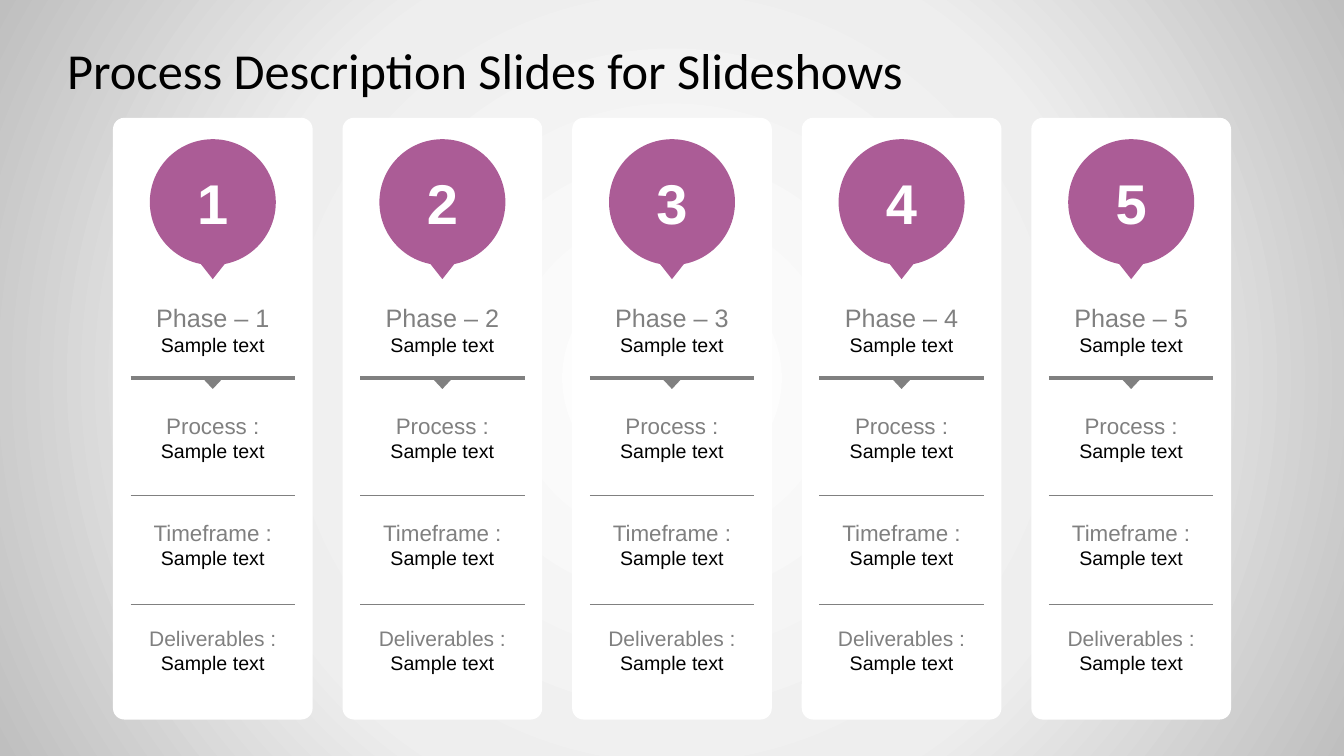
from pptx import Presentation
from pptx.dml.color import RGBColor
from pptx.enum.shapes import MSO_CONNECTOR, MSO_SHAPE
from pptx.enum.text import MSO_ANCHOR as Anchor, MSO_AUTO_SIZE as AutoSize, PP_ALIGN as Align
from pptx.oxml import parse_xml
from pptx.oxml.ns import nsdecls, qn
from pptx.util import Pt

TITLE = "Process Description Slides for Slideshows"
PHASES = [1, 2, 3, 4, 5]
SAMPLE = "Sample text"
# heading, heading size, top, height
SECTIONS = [
    ("Phase – {}", 18, 212.4, 46),
    ("Process :", 16, 290.9, 44),
    ("Timeframe :", 16, 367.2, 44),
    ("Deliverables :", 15, 443.5, 42.5),
]
RULES = [(432, 0.75), (354.2, 0.75), (270, 3)]  # y, line width
BACKDROP = [(0, "FFFFFF"), (57, "EEEEEE"), (100, "BFBFBF")]
PURPLE, GREY, WHITE, BLACK = "AB5C96", "808080", "FFFFFF", "000000"

PAGE_WIDTH, PAGE_HEIGHT = 960, 540
PITCH = 164
CARD_WIDTH, RULE_WIDTH, TEXT_WIDTH = 142.6, 117.4, 108


def color(hex_string):
    """Turn a hex string into a colour."""
    return RGBColor.from_string(hex_string)


def set_values(target, values):
    """Set every attribute named in a dict."""
    for name, value in values.items():
        setattr(target, name, value)


def add_text(para, text, size, ink, font="Arial", bold=False, align=Align.CENTER):
    """Write one formatted run into a paragraph."""
    para.alignment = align
    span = para.add_run()
    span.text = text
    set_values(span.font, {"name": font, "size": Pt(size), "bold": bold})
    span.font.color.rgb = color(ink)


def add_block(shapes, kind, center, top, width, height, fill, flip=False):
    """Add a flat filled shape centred on a column axis."""
    box = shapes.add_shape(kind, Pt(center - width / 2), Pt(top), Pt(width), Pt(height))
    box.shadow.inherit = False
    box.fill.solid()
    box.fill.fore_color.rgb = color(fill)
    box.line.fill.background()
    if flip:
        box.element.spPr.find(qn("a:xfrm")).set("flipV", "1")
    return box


def add_rule(shapes, center, y, weight):
    """Add a horizontal divider centred on a column axis."""
    half = RULE_WIDTH / 2
    rule = shapes.add_connector(MSO_CONNECTOR.STRAIGHT, Pt(center - half), Pt(y), Pt(center + half), Pt(y))
    rule.line.color.rgb = color(GREY)
    rule.line.width = Pt(weight)
    rule.element.spPr.append(parse_xml(f"<a:effectLst {nsdecls('a')}/>"))


def add_badge(shapes, center, number):
    """Add the grouped number circle with its pointer."""
    group = shapes.add_group_shape()
    circle = add_block(group.shapes, MSO_SHAPE.OVAL, center, 99.4, 90, 90, PURPLE)
    frame = circle.text_frame
    sides = ("left", "top", "right", "bottom")
    set_values(frame, {f"margin_{side}": Pt(14.4) for side in sides})
    frame.vertical_anchor = Anchor.MIDDLE
    add_text(frame.paragraphs[0], str(number), 40, WHITE, bold=True)
    add_block(group.shapes, MSO_SHAPE.ISOSCELES_TRIANGLE, center, 184.3, 23.8, 15.1, PURPLE, flip=True)


def add_section(shapes, center, heading, size, top, height):
    """Add a heading with its sample line."""
    box = shapes.add_textbox(Pt(center - TEXT_WIDTH / 2), Pt(top), Pt(TEXT_WIDTH), Pt(height))
    frame = box.text_frame
    set_values(frame, {"word_wrap": True, "auto_size": AutoSize.SHAPE_TO_FIT_TEXT})
    add_text(frame.paragraphs[0], heading, size, GREY)
    add_text(frame.add_paragraph(), SAMPLE, 14, BLACK)


def add_column(shapes, center, number):
    """Add one phase card with all its parts."""
    card = add_block(shapes, MSO_SHAPE.ROUNDED_RECTANGLE, center, 84.2, CARD_WIDTH, 429.8, WHITE)
    card.adjustments[0] = 0.057
    add_badge(shapes, center, number)
    for heading, size, top, height in SECTIONS:
        add_section(shapes, center, heading.format(number), size, top, height)
    for y, weight in RULES:
        add_rule(shapes, center, y, weight)
    add_block(shapes, MSO_SHAPE.ISOSCELES_TRIANGLE, center, 271.4, 12.2, 6.5, GREY, flip=True)


def set_backdrop(page):
    """Give the page a radial gradient background."""
    stops = "".join(
        f'<a:gs pos="{place * 1000}"><a:srgbClr val="{ink}"/></a:gs>' for place, ink in BACKDROP
    )
    page.element.cSld.insert(0, parse_xml(
        f'<p:bg {nsdecls("p", "a")}><p:bgPr><a:gradFill rotWithShape="1"><a:gsLst>{stops}</a:gsLst>'
        '<a:path path="circle"><a:fillToRect l="50000" t="50000" r="50000" b="50000"/></a:path>'
        "</a:gradFill><a:effectLst/></p:bgPr></p:bg>"
    ))


def set_title(page):
    """Place and fill the title placeholder."""
    title = page.shapes.title
    set_values(title, {"left": Pt(48), "top": Pt(21.6), "width": Pt(864), "height": Pt(56.2)})
    frame = title.text_frame
    set_values(frame, {
        "margin_left": 0, "margin_right": 0, "margin_top": Pt(5), "margin_bottom": Pt(5),
        "vertical_anchor": Anchor.MIDDLE, "word_wrap": True, "auto_size": AutoSize.NONE,
    })
    add_text(frame.paragraphs[0], TITLE, 36, BLACK, font="Calibri", align=Align.LEFT)


deck = Presentation()
set_values(deck, {"slide_width": Pt(PAGE_WIDTH), "slide_height": Pt(PAGE_HEIGHT)})
page = deck.slides.add_slide(deck.slide_layouts[5])
set_backdrop(page)
set_title(page)
first_center = (PAGE_WIDTH - PITCH * (len(PHASES) - 1)) / 2
for index, number in enumerate(PHASES):
    add_column(page.shapes, first_center + index * PITCH, number)
deck.save("out.pptx")
